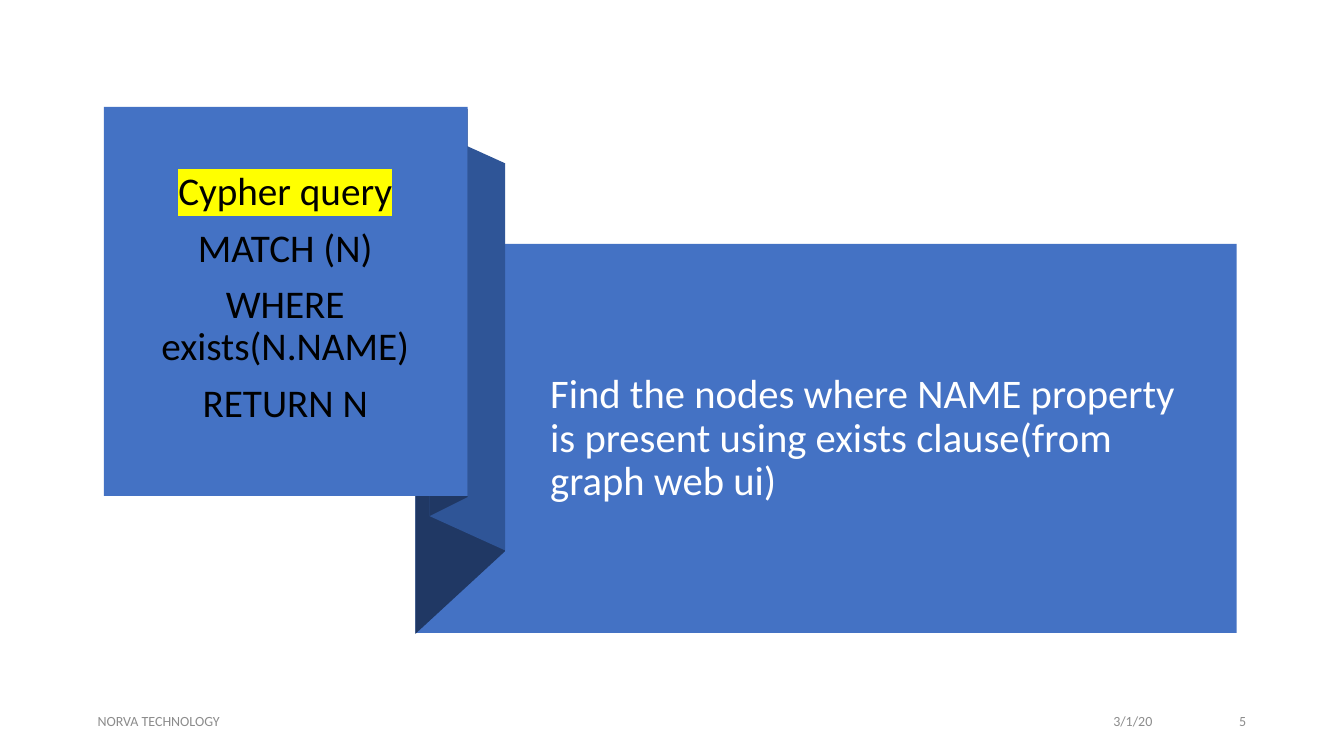
from dataclasses import dataclass

import pptx
import pptx.dml.color
import pptx.enum.shapes
import pptx.enum.text
import pptx.oxml
import pptx.oxml.ns
import pptx.util

ALIGN = pptx.enum.text.PP_ALIGN
COLUMNS, ROWS = 40, 30
WIDTH, HEIGHT = pptx.util.Inches(13.33), pptx.util.Inches(7.5)
COLUMN, ROW = WIDTH / COLUMNS, HEIGHT / ROWS


@dataclass(frozen=True)
class Theme:
    face: str = "4472C4"
    fold_side: str = "2F5597"
    fold_dark: str = "203864"
    statement: str = "FFFFFF"
    query: str = "000000"
    highlight: str = "FFFF00"
    footer: str = "8C8C8C"
    font: str = "Calibri"
    statement_size: int = 29
    query_size: int = 28
    footer_size: int = 10


THEME = Theme()


@dataclass(frozen=True)
class Box:
    """An area in columns and rows of the slide grid."""
    left: float
    top: float
    width: float
    height: float

    def inner(self, left, top, width, height):
        return Box(self.left + left, self.top + top, width, height)

    def emu(self):
        return (round(self.left * COLUMN), round(self.top * ROW),
                round(self.width * COLUMN), round(self.height * ROW))


def paint(shape, color):
    shape.shadow.inherit = False
    shape.fill.solid()
    shape.fill.fore_color.rgb = pptx.dml.color.RGBColor.from_string(color)
    shape.line.fill.background()


def add_face(slide, box):
    face = slide.shapes.add_shape(pptx.enum.shapes.MSO_SHAPE.RECTANGLE, *box.emu())
    paint(face, THEME.face)


def add_text(slide, box, lines, size, color, align=ALIGN.LEFT,
             line_spacing=1.0, gap=0):
    frame = slide.shapes.add_textbox(*box.emu()).text_frame
    frame.word_wrap = True
    frame.vertical_anchor = pptx.enum.text.MSO_ANCHOR.MIDDLE
    for index, line in enumerate(lines):
        paragraph = frame.paragraphs[0] if index == 0 else frame.add_paragraph()
        paragraph.text = line
        paragraph.alignment = align
        paragraph.line_spacing = line_spacing
        if index:
            paragraph.space_before = pptx.util.Pt(gap)
        paragraph.font.name = THEME.font
        paragraph.font.size = pptx.util.Pt(size)
        paragraph.font.color.rgb = pptx.dml.color.RGBColor.from_string(color)
    return frame


def highlight(run, color):
    mark = pptx.oxml.parse_xml(
        f'<a:highlight {pptx.oxml.ns.nsdecls("a")}><a:srgbClr val="{color}"/></a:highlight>')
    run._r.get_or_add_rPr().append(mark)


def add_statement(slide, box):
    """Wide panel with the explanation."""
    add_face(slide, box)
    add_text(slide, box.inner(3.72, 1.56, 19.29, 12.36),
             ["Find the nodes where NAME property is present using exists "
              "clause(from graph web ui)"],
             THEME.statement_size, THEME.statement, line_spacing=0.9)


def add_fold(slide, box):
    """Ribbon fold joining the two panels, as three slanted facets."""
    # left, top at left, right, top at right, height, colour
    facets = [
        (0, 5.6, box.width, 2.32, 15.24, THEME.fold_dark),
        (0.42, 0.8, box.width, 2.16, 15.36, THEME.fold_side),
        (0.42, 0.76, 1.56, 0, 15.4, THEME.fold_dark),
    ]
    for left, left_top, right, right_top, height, color in facets:
        corners = [(right, right_top + height), (left, left_top + height),
                   (left, left_top), (right, right_top)]
        points = [box.inner(x, y, 0, 0).emu()[:2] for x, y in corners]
        builder = slide.shapes.build_freeform(*points[0])
        builder.add_line_segments(points[1:], close=True)
        paint(builder.convert_to_shape(), color)


def add_query(slide, box):
    """Front card with the query."""
    add_face(slide, box)
    frame = add_text(slide, box.inner(1.05, 1.4, 8.7, 12.44),
                     ["Cypher query", "MATCH (N)", "WHERE exists(N.NAME)", "RETURN N"],
                     THEME.query_size, THEME.query, ALIGN.CENTER,
                     line_spacing=0.9, gap=10)
    highlight(frame.paragraphs[0].runs[0], THEME.highlight)


def add_footer(slide, box):
    """Owner, date and slide number."""
    entries = [
        (0, 22.17, "NORVA TECHNOLOGY", ALIGN.LEFT),
        (22.71, 9.27, "3/1/20", ALIGN.RIGHT),
        (32.52, 2.25, "5", ALIGN.RIGHT),
    ]
    for left, width, words, align in entries:
        frame = add_text(slide, box.inner(left, 0, width, box.height), [words],
                         THEME.footer_size, THEME.footer, align)
        frame.paragraphs[0].space_after = pptx.util.Pt(6)


def main():
    deck = pptx.Presentation()
    deck.slide_width, deck.slide_height = WIDTH, HEIGHT
    slide = deck.slides.add_slide(deck.slide_layouts[6])
    add_statement(slide, Box(12.36, 9.68, 24.45, 15.44))
    add_fold(slide, Box(12.36, 4.32, 2.67, 20.84))
    add_query(slide, Box(3.09, 4.24, 10.83, 15.44))
    add_footer(slide, Box(2.61, 27.92, 34.77, 1.4))
    deck.save("out.pptx")


if __name__ == "__main__":
    main()
